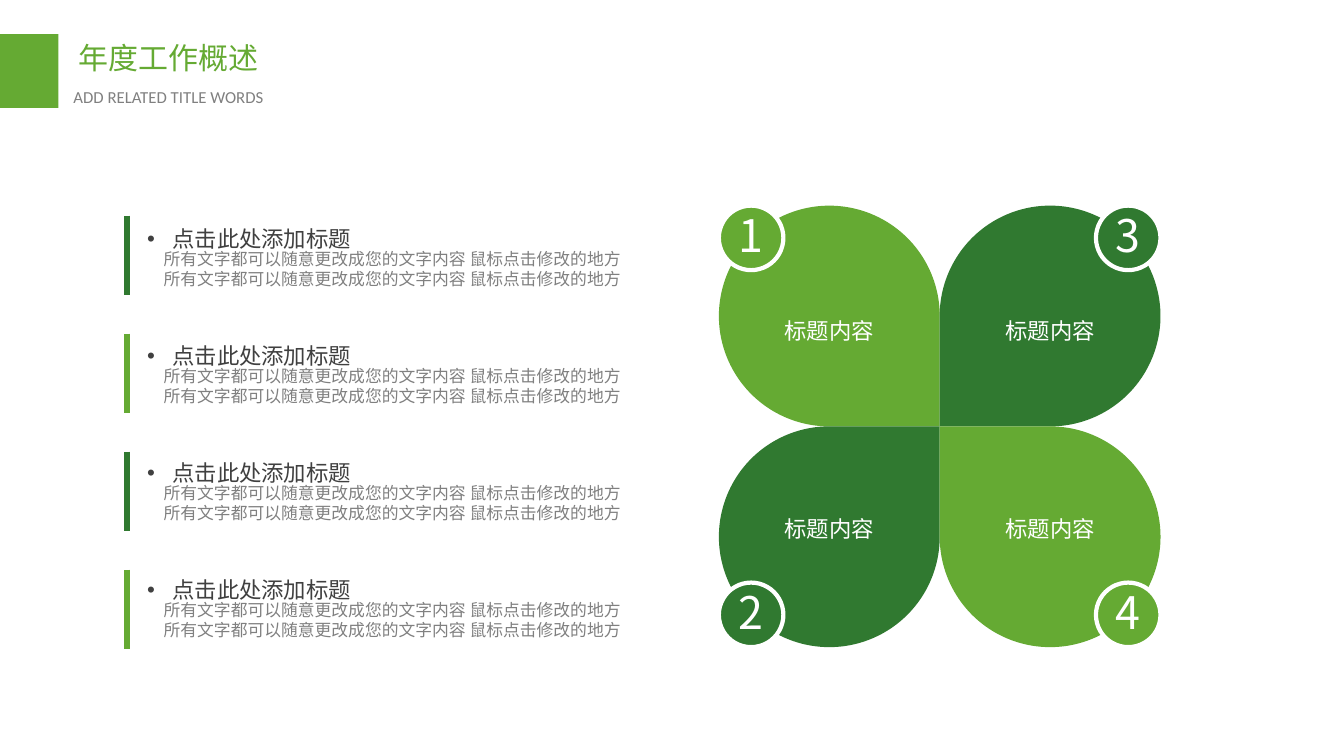
from lxml.etree import SubElement
from pptx import Presentation
from pptx.dml.color import RGBColor
from pptx.enum.shapes import MSO_CONNECTOR, MSO_SHAPE
from pptx.enum.text import MSO_ANCHOR, PP_ALIGN
from pptx.oxml.ns import qn
from pptx.util import Inches, Pt

LIGHT_GREEN = RGBColor(0x65, 0xAA, 0x33)
DARK_GREEN = RGBColor(0x30, 0x79, 0x30)
WHITE = RGBColor(0xFF, 0xFF, 0xFF)
GRAY = RGBColor(0x80, 0x80, 0x80)
CHARCOAL = RGBColor(0x40, 0x40, 0x40)
CJK_FONT = "Noto Sans CJK SC"

ITEM_TITLE = "点击此处添加标题"
ITEM_LINE = "所有文字都可以随意更改成您的文字内容 鼠标点击修改的地方"
PETAL_LABEL = "标题内容"
ITEM_COUNT = 4
PETAL_LEFT, PETAL_TOP, PETAL_SIZE = 7.13, 2.04, 2.19
BADGE_SIZE = 0.64


def add_bullet(paragraph):
    """Give the paragraph a round bullet with a hanging indent."""
    properties = paragraph._p.get_or_add_pPr()
    properties.set("marL", str(Inches(0.25)))
    properties.set("indent", str(-Inches(0.25)))
    SubElement(properties, qn("a:buFont")).set("typeface", "Arial")
    SubElement(properties, qn("a:buChar")).set("char", "•")


def write_text(frame, text, size=12, color=GRAY, font=CJK_FONT, align=PP_ALIGN.LEFT,
               anchor=MSO_ANCHOR.TOP, spacing=None, bullet=False, margins=(0, 0)):
    frame.word_wrap = True
    frame.vertical_anchor = anchor
    frame.margin_left = frame.margin_right = Inches(margins[0])
    frame.margin_top = frame.margin_bottom = Inches(margins[1])
    for index, line in enumerate(text.split("\n")):
        paragraph = frame.paragraphs[0] if index == 0 else frame.add_paragraph()
        paragraph.alignment = align
        if spacing:
            paragraph.line_spacing = spacing
        if bullet:
            add_bullet(paragraph)
        run = paragraph.add_run()
        run.text = line
        run.font.size = Pt(size)
        run.font.name = font
        run.font.color.rgb = color
        SubElement(run._r.get_or_add_rPr(), qn("a:ea")).set("typeface", font)


def add_text(slide, left, top, width, height, text, **text_format):
    box = slide.shapes.add_textbox(Inches(left), Inches(top), Inches(width), Inches(height))
    write_text(box.text_frame, text, **text_format)


def add_filled(slide, preset, left, top, width, height, color, outline=None):
    shape = slide.shapes.add_shape(preset, Inches(left), Inches(top),
                                   Inches(width), Inches(height))
    shape.shadow.inherit = False
    shape.fill.solid()
    shape.fill.fore_color.rgb = color
    if outline is None:
        shape.line.fill.background()
    else:
        shape.line.color.rgb = outline
        shape.line.width = Pt(3)
    return shape


def add_accent(slide, x, top, length, color):
    accent = slide.shapes.add_connector(MSO_CONNECTOR.STRAIGHT, Inches(x), Inches(top),
                                        Inches(x), Inches(top + length))
    accent.line.color.rgb = color
    accent.line.width = Pt(4)
    SubElement(accent._element.spPr, qn("a:effectLst"))


def add_header(slide):
    add_filled(slide, MSO_SHAPE.RECTANGLE, 0, 0.34, 0.58, 0.73, LIGHT_GREEN)
    add_text(slide, 0.68, 0.34, 2.68, 0.46, "年度工作概述", size=21.4, color=LIGHT_GREEN,
             align=PP_ALIGN.JUSTIFY, margins=(0.1, 0.05))
    add_text(slide, 0.63, 0.81, 2.97, 0.3, "ADD RELATED TITLE WORDS", font="Calibri",
             align=PP_ALIGN.JUSTIFY, margins=(0.1, 0.05))


def add_item(slide, row, color):
    top = 2.14 + row * 1.16
    add_text(slide, 1.48, top + 0.33, 4.68, 0.56, f"{ITEM_LINE}\n{ITEM_LINE}",
             align=PP_ALIGN.RIGHT)
    add_text(slide, 1.46, top, 4.69, 0.33, ITEM_TITLE, size=16, color=CHARCOAL,
             anchor=MSO_ANCHOR.MIDDLE, spacing=1.5, bullet=True)
    add_accent(slide, 1.26, 2.14 + row * 1.17, 0.79, color)


def add_petal(slide, number, column, row, rotation, color):
    left = PETAL_LEFT + column * PETAL_SIZE
    top = PETAL_TOP + row * PETAL_SIZE
    petal = add_filled(slide, MSO_SHAPE.TEAR, left, top, PETAL_SIZE, PETAL_SIZE, color)
    petal.rotation = rotation
    # The badge sits in the outer corner of the petal
    corner = PETAL_SIZE - BADGE_SIZE
    badge = add_filled(slide, MSO_SHAPE.OVAL, left + column * corner, top + row * corner,
                       BADGE_SIZE, BADGE_SIZE, color, outline=WHITE)
    centered = dict(color=WHITE, align=PP_ALIGN.CENTER, anchor=MSO_ANCHOR.MIDDLE, spacing=0.9)
    write_text(badge.text_frame, number, size=32, **centered)
    label_top = top + (0.87 if row else 1.1)
    add_text(slide, left, label_top, PETAL_SIZE, 0.32, PETAL_LABEL, size=16, **centered)


def main():
    presentation = Presentation()
    presentation.slide_width = Inches(13.33)
    presentation.slide_height = Inches(7.5)
    slide = presentation.slides.add_slide(presentation.slide_layouts[6])

    add_header(slide)

    # List of items with alternating accents
    for row in range(ITEM_COUNT):
        add_item(slide, row, LIGHT_GREEN if row % 2 else DARK_GREEN)

    # Four petals pointing at the common centre
    for number, column, row, rotation, color in (
        ("1", 0, 0, 90, LIGHT_GREEN),
        ("3", 1, 0, 180, DARK_GREEN),
        ("2", 0, 1, 0, DARK_GREEN),
        ("4", 1, 1, 270, LIGHT_GREEN),
    ):
        add_petal(slide, number, column, row, rotation, color)

    presentation.save("out.pptx")


if __name__ == "__main__":
    main()
